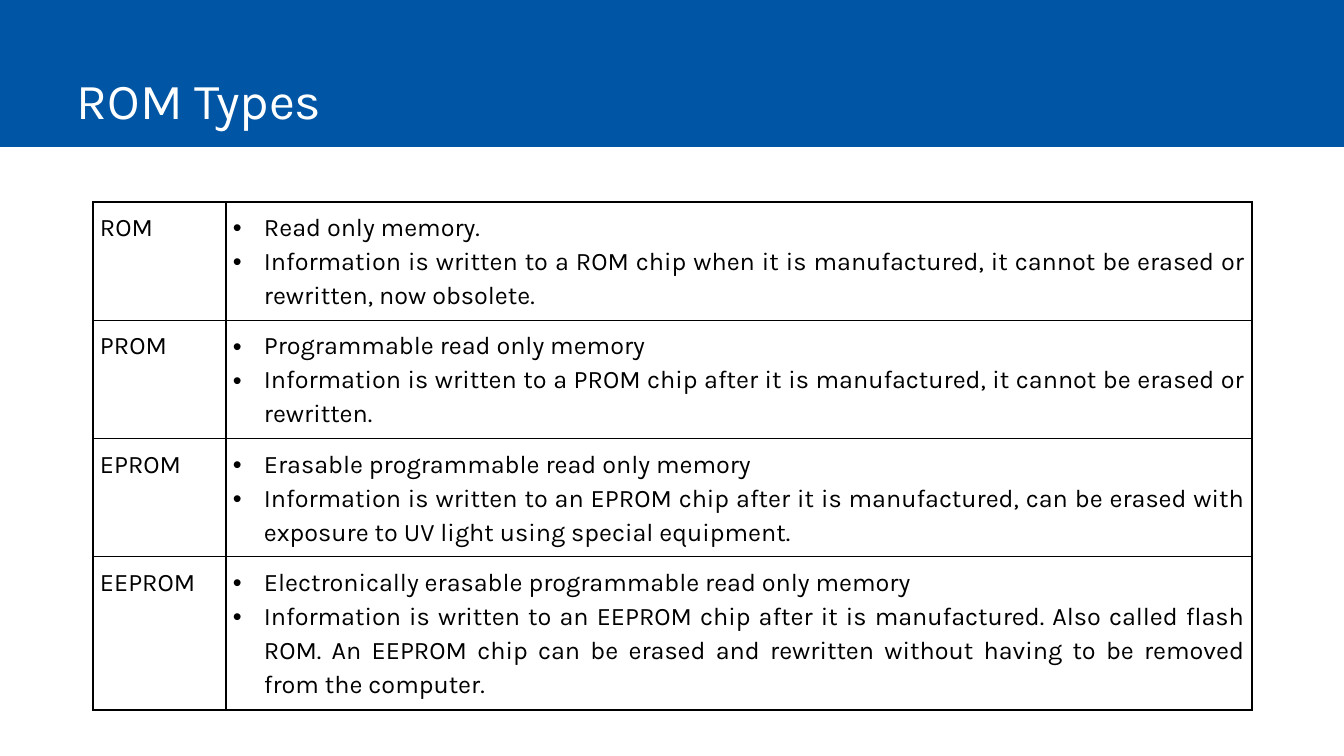
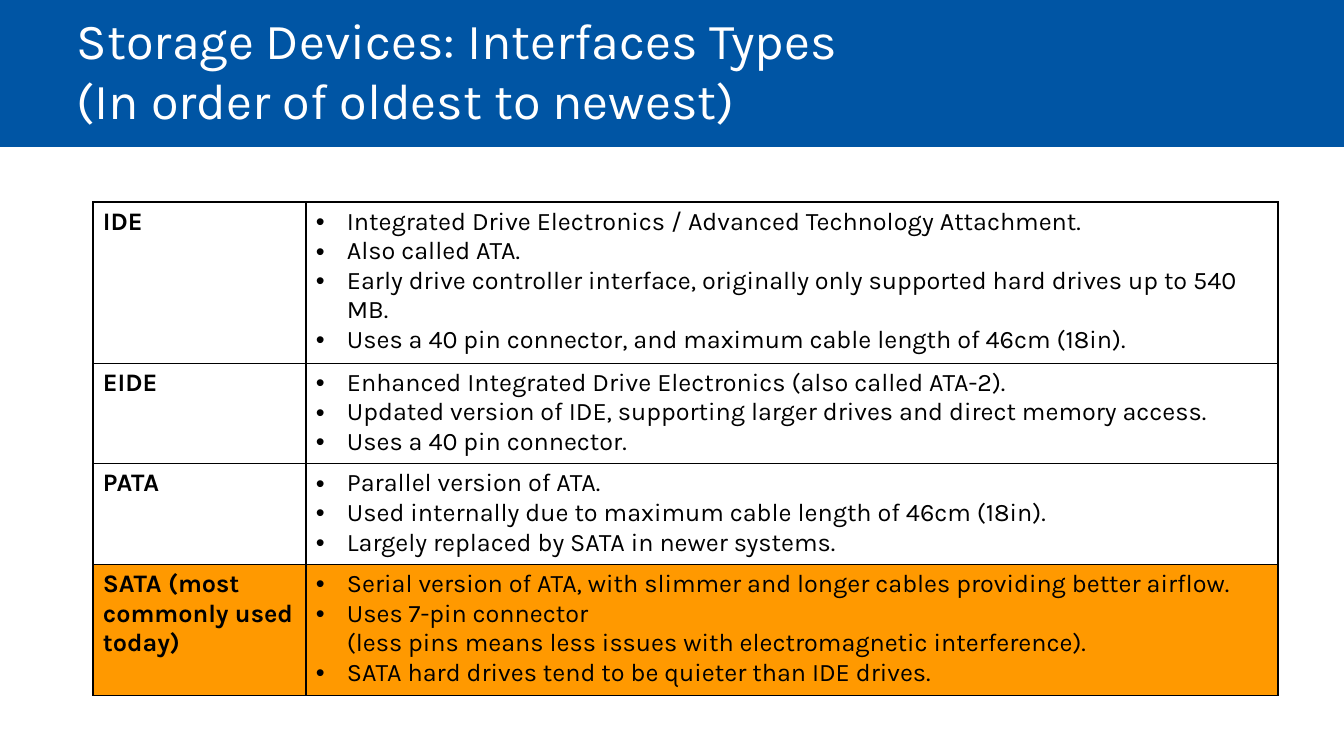
"""Build two slides of tables on ROM types and storage interfaces."""
from dataclasses import dataclass

from lxml import etree
from pptx import Presentation
from pptx import util as u
from pptx.dml.color import RGBColor
from pptx.enum import shapes, text
from pptx.oxml import ns


@dataclass(frozen=True)
class Theme:
    font: str = "Karla"
    blue: str = "0055A4"
    orange: str = "FF9900"
    white: str = "FFFFFF"
    black: str = "000000"
    title_size: int = 36
    body_size: int = 18
    border_width: int = 1


THEME = Theme()
SLIDE_WIDTH, SLIDE_HEIGHT = 1344, 756
SCALE = u.Inches(1) / 100.8
BAND_HEIGHT = 147
TITLE_BOX = (67, 0, 1184, 135)
TABLE_LEFT, TABLE_TOP = 93, 202
BULLET_INDENT = 31

SLIDES = [
    {
        "title": "ROM Types",
        "columns": [133, 1026],
        "heights": [116, 116, 116, 149],
        "margins": (7, 7),
        "alignment": text.PP_ALIGN.JUSTIFY,
        "spacing": 1.15,
        "bold_labels": False,
        "highlight": None,
        "rows": [
            ("ROM", [
                "Read only memory.",
                "Information is written to a ROM chip when it is manufactured, "
                "it cannot be erased or rewritten, now obsolete.",
            ]),
            ("PROM", [
                "Programmable read only memory",
                "Information is written to a PROM chip after it is manufactured, "
                "it cannot be erased or rewritten.",
            ]),
            ("EPROM", [
                "Erasable programmable read only memory",
                "Information is written to an EPROM chip after it is manufactured, "
                "can be erased with exposure to UV light using special equipment.",
            ]),
            ("EEPROM", [
                "Electronically erasable programmable read only memory",
                "Information is written to an EEPROM chip after it is manufactured. "
                "Also called flash ROM. An EEPROM chip can be erased and rewritten "
                "without having to be removed from the computer.",
            ]),
        ],
    },
    {
        "title": "Storage Devices: Interfaces Types\n(In order of oldest to newest)",
        "columns": [213, 972],
        "heights": [158, 99, 99, 128],
        "margins": (10, 5),
        "alignment": text.PP_ALIGN.LEFT,
        "spacing": 1.0,
        "bold_labels": True,
        "highlight": 3,
        "rows": [
            ("IDE", [
                "Integrated Drive Electronics / Advanced Technology Attachment.",
                "Also called ATA.",
                "Early drive controller interface, originally only supported "
                "hard drives up to 540 MB.",
                "Uses a 40 pin connector, and maximum cable length of 46cm (18in).",
            ]),
            ("EIDE", [
                "Enhanced Integrated Drive Electronics (also called ATA-2).",
                "Updated version of IDE, supporting larger drives and direct memory access.",
                "Uses a 40 pin connector.",
            ]),
            ("PATA", [
                "Parallel version of ATA.",
                "Used internally due to maximum cable length of 46cm (18in).",
                "Largely replaced by SATA in newer systems.",
            ]),
            ("SATA (most commonly used today)", [
                "Serial version of ATA, with slimmer and longer cables providing better airflow.",
                "Uses 7-pin connector\n"
                "(less pins means less issues with electromagnetic interference).",
                "SATA hard drives tend to be quieter than IDE drives.",
            ]),
        ],
    },
]


def px(length):
    """Turn px into EMU."""
    return u.Emu(round(length * SCALE))


def write(paragraph, words, size, color, bold=False):
    """Add styled runs to a paragraph, with a line break between lines."""
    for number, line in enumerate(words.split("\n")):
        if number:
            paragraph.add_line_break()
        run = paragraph.add_run()
        run.text = line
        run.font.name = THEME.font
        run.font.size = u.Pt(size)
        run.font.bold = bold
        run.font.color.rgb = RGBColor.from_string(color)


presentation = Presentation()
presentation.slide_width = px(SLIDE_WIDTH)
presentation.slide_height = px(SLIDE_HEIGHT)

for content in SLIDES:
    slide = presentation.slides.add_slide(presentation.slide_layouts[6])

    band = slide.shapes.add_shape(
        shapes.MSO_SHAPE.RECTANGLE, 0, 0, px(SLIDE_WIDTH), px(BAND_HEIGHT))
    band.shadow.inherit = False
    band.fill.solid()
    band.fill.fore_color.rgb = RGBColor.from_string(THEME.blue)
    band.line.fill.background()

    title = slide.shapes.add_textbox(*map(px, TITLE_BOX)).text_frame
    title.word_wrap = True
    title.vertical_anchor = text.MSO_ANCHOR.BOTTOM
    write(title.paragraphs[0], content["title"], THEME.title_size, THEME.white)

    columns, heights = content["columns"], content["heights"]
    table = slide.shapes.add_table(
        len(heights), len(columns), px(TABLE_LEFT), px(TABLE_TOP),
        px(sum(columns)), px(sum(heights))).table
    table.first_row = False
    table.horz_banding = False
    for column, width in zip(table.columns, columns):
        column.width = px(width)

    for index, (label, bullets) in enumerate(content["rows"]):
        table.rows[index].height = px(heights[index])
        for cell, lines in zip(table.rows[index].cells, ([label], bullets)):
            is_label = lines is not bullets
            side, edge = map(px, content["margins"])
            cell.margin_left = cell.margin_right = side
            cell.margin_top = cell.margin_bottom = edge

            properties = cell._tc.get_or_add_tcPr()
            for tag in ("a:lnL", "a:lnR", "a:lnT", "a:lnB"):
                border = etree.SubElement(
                    properties, ns.qn(tag), w=str(u.Pt(THEME.border_width)))
                fill = etree.SubElement(border, ns.qn("a:solidFill"))
                etree.SubElement(fill, ns.qn("a:srgbClr"), val=THEME.black)
            if index == content["highlight"]:
                cell.fill.solid()
                cell.fill.fore_color.rgb = RGBColor.from_string(THEME.orange)
            else:
                cell.fill.background()

            frame = cell.text_frame
            for number, line in enumerate(lines):
                paragraph = frame.add_paragraph() if number else frame.paragraphs[0]
                if not is_label:
                    layout = paragraph._p.get_or_add_pPr()
                    layout.set("marL", str(px(BULLET_INDENT)))
                    layout.set("indent", str(-px(BULLET_INDENT)))
                    tint = etree.SubElement(layout, ns.qn("a:buClr"))
                    etree.SubElement(tint, ns.qn("a:srgbClr"), val=THEME.black)
                    etree.SubElement(layout, ns.qn("a:buFont"), typeface="Arial")
                    etree.SubElement(layout, ns.qn("a:buChar"), char="•")
                paragraph.alignment = content["alignment"]
                paragraph.line_spacing = content["spacing"]
                write(paragraph, line, THEME.body_size, THEME.black,
                      is_label and content["bold_labels"])

presentation.save("out.pptx")
